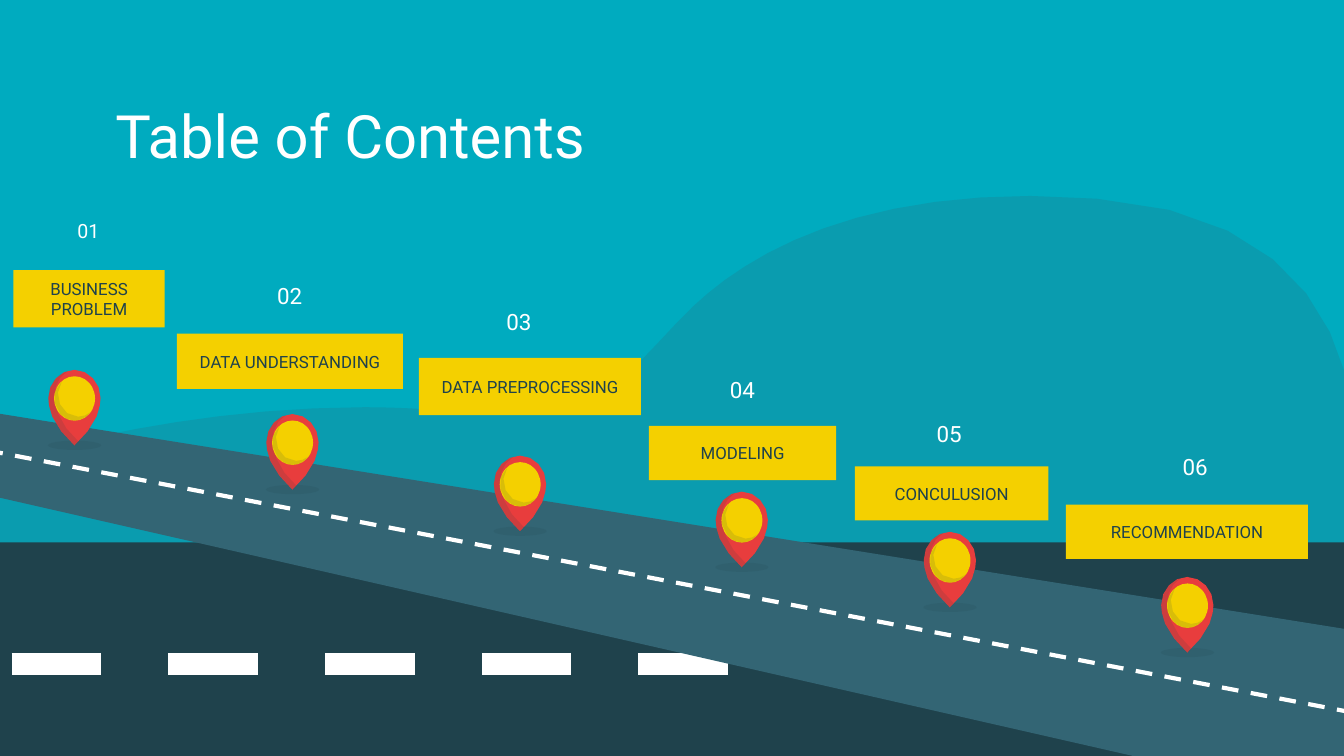
from math import dist, sqrt

from lxml import etree
from pptx import Presentation
from pptx.dml.color import RGBColor
from pptx.enum import dml, shapes, text
from pptx.oxml import ns
from pptx.util import Pt

COLORS = {
    "sky": "00ABBF",
    "road": "336574",
    "dark": "1F424C",
    "white": "FFFFFF",
    "yellow": "F4D000",
    "red": "E83D3D",
}
FONT = "Roboto"
INSET = 7.2

# Outlines in points: a pair is a corner, six numbers are a Bezier curve
HILLS = [
    (552, 105), (450, 105, 397, 140, 371.5, 164), (338, 196.5, 328, 222, 268, 222),
    (232.5, 219.6), (220, 218.7, 207, 218.2, 195, 218.2),
    (85, 218.2, -4.3, 249, -4.3, 249), (-3, 299), (718.5, 305),
    (718.5, 305, 774.5, 120, 587.5, 106.5), (552, 105),
]
ROAD = [(725, 337.7), (-4.3, 221), (-4.3, 265.7), (607, 405), (725, 405)]

# Pin parts, measured from the middle of the pin's top
LEFT_EDGE = [(-13.6, 19.2), (-11.9, 25), (-7, 33), (0, 40.5)]
PIN_BODY = [
    (0, 0), (-7.7, 0, -14, 7, -14, 15.1), *LEFT_EDGE,
    (7, 33), (11.9, 25), (13.6, 19.2), (14, 15.1), (14, 7, 7.7, 0, 0, 0),
]
PIN_SHADE = [
    (-3.6, 0.7), (-9.7, 2.2, -14, 8.6, -14, 15.1), *LEFT_EDGE,
    (2.2, 38.5), (-4.3, 31.5), (-8.6, 23.8), (-10.8, 14.4),
    (-10.8, 8.6, -8.3, 3.6, -3.6, 0.7),
]
DISC_SHADE = [
    (-6.7, 6.2), (-11.9, 10.5, -12.2, 18.5, -7.6, 23.7), (-5.4, 26, -2.9, 27.3, 0, 27.3),
    (3.2, 27.3, 6.5, 25.7, 8.6, 22.8), (6.8, 24.3, 4.5, 25.2, 2, 25.2),
    (-7, 25.2, -12, 13.7, -6.7, 6.2),
]

# Label, sign box, number box, number size, pin top
STOPS = [
    ("BUSINESS PROBLEM", (7.2, 144.8, 81, 30.6), (30, 106.6, 34.8, 34), 10.5, (39.9, 198.1)),
    ("DATA UNDERSTANDING", (94.8, 178.8, 121, 29.6), (129.3, 142, 52, 33), 12, (156.7, 221.8)),
    ("DATA PREPROCESSING", (224.4, 191.7, 119, 30.7), (257.5, 155.5, 41, 34), 12, (278.6, 244.1)),
    ("MODELING", (347.7, 228.2, 100.3, 29), (376.2, 192.3, 43, 32.4), 12, (397.4, 263.4)),
    ("CONCULUSION", (458, 249.8, 103.7, 29), (491, 216.2, 35, 32.4), 12, (508.9, 284.9)),
    ("RECOMMENDATION", (571, 270.4, 129.7, 29), (618, 234, 44.5, 32.4), 12, (636.1, 309.1)),
]


def rgb(name):
    return RGBColor.from_string(COLORS[name])


def paint(shape, color, opacity=None):
    shape.shadow.inherit = False
    shape.fill.solid()
    shape.fill.fore_color.rgb = rgb(color)
    shape.line.fill.background()
    if opacity is not None:
        tint = shape.fill._xPr.find(".//" + ns.qn("a:srgbClr"))
        etree.SubElement(tint, ns.qn("a:alpha"), val=str(opacity * 1000))


def add_preset(slide, kind, box, color, opacity=None):
    shape = slide.shapes.add_shape(kind, *map(Pt, box))
    paint(shape, color, opacity)
    return shape


def flatten(outline):
    """Turn corners and Bezier curves into points, more for longer curves."""
    points = [outline[0]]
    for segment in outline[1:]:
        if len(segment) == 2:
            points.append(segment)
            continue
        x0, y0 = points[-1]
        x1, y1, x2, y2, x3, y3 = segment
        steps = max(2, round(sqrt(dist((x0, y0), (x3, y3))) / 1.2))
        for step in range(1, steps + 1):
            t = step / steps
            a, b, c, d = (1 - t) ** 3, 3 * t * (1 - t) ** 2, 3 * t * t * (1 - t), t ** 3
            points.append((a * x0 + b * x1 + c * x2 + d * x3,
                           a * y0 + b * y1 + c * y2 + d * y3))
    return points


def add_outline(slide, outline, color, opacity=None, origin=(0, 0)):
    points = [(Pt(origin[0] + x), Pt(origin[1] + y)) for x, y in flatten(outline)]
    builder = slide.shapes.build_freeform(*points[0])
    builder.add_line_segments(points[1:], close=True)
    paint(builder.convert_to_shape(), color, opacity)


def add_dashes(slide, start, end, width):
    line = slide.shapes.add_connector(
        shapes.MSO_CONNECTOR.STRAIGHT, *map(Pt, (*start, *end)))
    line.line.color.rgb = rgb("white")
    line.line.width = Pt(width)
    line.line.dash_style = dml.MSO_LINE.DASH
    etree.SubElement(line._element.spPr, ns.qn("a:effectLst"))


def write(shape, words, size, color="white", align=text.PP_ALIGN.CENTER,
          anchor=text.MSO_ANCHOR.MIDDLE):
    frame = shape.text_frame
    frame.word_wrap = True
    frame.vertical_anchor = anchor
    frame.margin_left = frame.margin_right = Pt(INSET)
    frame.margin_top = frame.margin_bottom = Pt(INSET)
    paragraph = frame.paragraphs[0]
    paragraph.alignment = align
    run = paragraph.add_run()
    run.text = words
    run.font.name = FONT
    run.font.size = Pt(size)
    run.font.color.rgb = rgb(color)


def add_text(slide, box, words, size, **style):
    write(slide.shapes.add_textbox(*map(Pt, box)), words, size, **style)


def add_pin(slide, top):
    x, y = top
    oval = shapes.MSO_SHAPE.OVAL
    add_preset(slide, oval, (x - 14.2, y + 38, 28.5, 5), "dark", 13)
    add_outline(slide, PIN_BODY, "red", origin=top)
    add_outline(slide, PIN_SHADE, "dark", 13, top)
    add_preset(slide, oval, (x - 10.9, y + 3.5, 21.9, 23.8), "yellow")
    add_outline(slide, DISC_SHADE, "dark", 13, top)


def main():
    deck = Presentation()
    deck.slide_width, deck.slide_height = Pt(720), Pt(405)
    slide = deck.slides.add_slide(deck.slide_layouts[6])
    slide.background.fill.solid()
    slide.background.fill.fore_color.rgb = rgb("sky")

    # Landscape
    add_outline(slide, HILLS, "road", 21)
    add_preset(slide, shapes.MSO_SHAPE.RECTANGLE, (0, 290.6, 720, 114.4), "dark")
    add_dashes(slide, (6.3, 355.7), (736, 355.7), 12)

    # Title
    add_text(slide, (54.7, 46, 608, 45.4), "Table of Contents", 32,
             align=text.PP_ALIGN.LEFT, anchor=text.MSO_ANCHOR.TOP)

    # Road
    add_outline(slide, ROAD, "road")
    add_dashes(slide, (725, 381.8), (-5.8, 241.5), 2.25)

    # Stops along the road
    for number, (label, sign_box, number_box, size, pin_top) in enumerate(STOPS, 1):
        sign = add_preset(slide, shapes.MSO_SHAPE.RECTANGLE, sign_box, "yellow")
        write(sign, label, 9, color="dark")
        add_text(slide, number_box, f"{number:02}", size)
        add_pin(slide, pin_top)

    deck.save("out.pptx")


if __name__ == "__main__":
    main()
